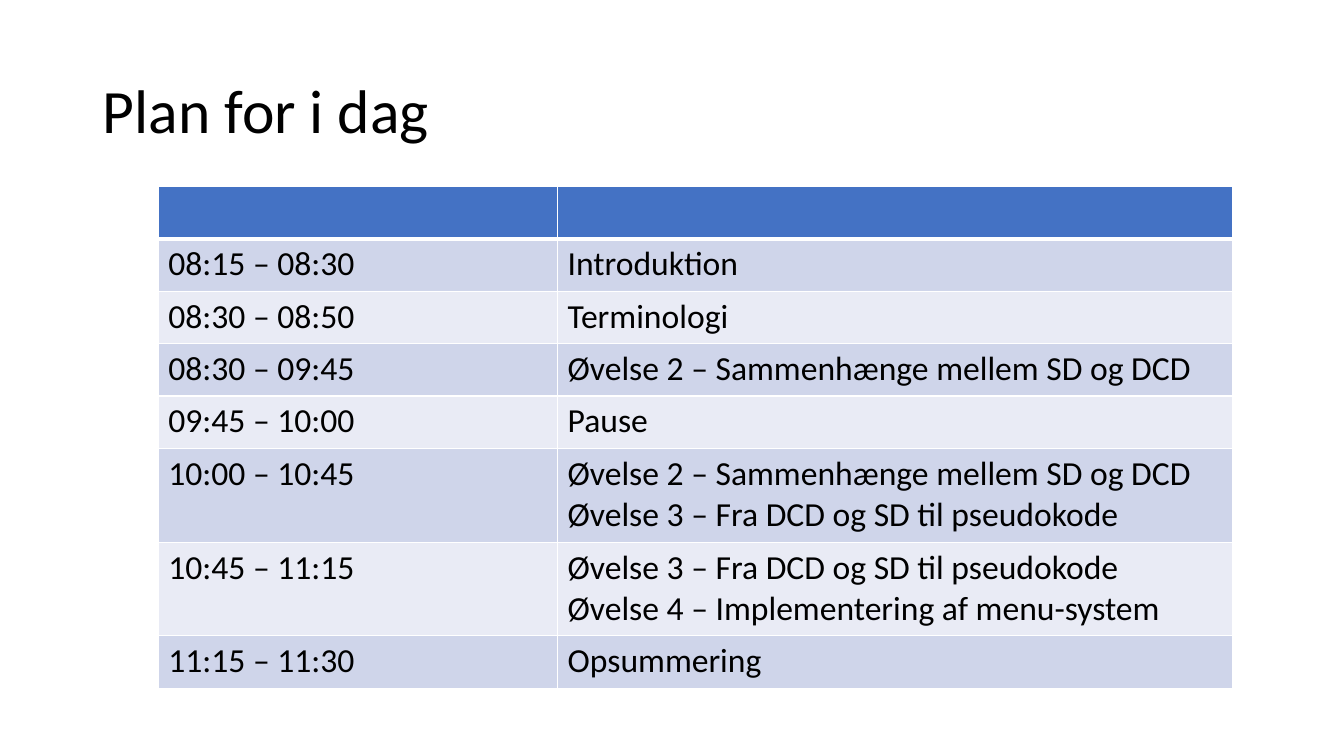
from dataclasses import dataclass

from lxml import etree
from pptx import Presentation
from pptx.dml.color import RGBColor
from pptx.enum.text import MSO_ANCHOR, PP_ALIGN
from pptx.oxml.ns import qn
from pptx.util import Inches, Pt

LEFT = PP_ALIGN.LEFT
MIDDLE = MSO_ANCHOR.MIDDLE
TITLE_ONLY = 5
FONT = "Calibri"
COLORS = {
    "text": "000000",
    "header": "4472C4",
    "odd": "CFD5EA",
    "even": "E9EBF5",
    "border": "FFFFFF",
}
SLIDE_WIDTH, SLIDE_HEIGHT = Inches(13.33), Inches(7.5)
COLUMN_WIDTHS = (3.96, 6.7)
ROW_HEIGHT, EXTRA_LINE = 0.52, 0.41
THIN, THICK = 1, 3
LINE_BREAK = "\v"

EXERCISE_2 = "Øvelse 2 – Sammenhænge mellem SD og DCD"
EXERCISE_3 = "Øvelse 3 – Fra DCD og SD til pseudokode"
EXERCISE_4 = "Øvelse 4 – Implementering af menu-system"


@dataclass(frozen=True)
class Session:
    """One row of the day's plan."""
    time: str
    activity: str

    @property
    def height(self) -> float:
        """Row height in inches, grown for each further line."""
        return ROW_HEIGHT + EXTRA_LINE * (len(self.activity.splitlines()) - 1)


SESSIONS = [
    Session("08:15 – 08:30", "Introduktion"),
    Session("08:30 – 08:50", "Terminologi"),
    Session("08:30 – 09:45", EXERCISE_2),
    Session("09:45 – 10:00", "Pause"),
    Session("10:00 – 10:45", EXERCISE_2 + LINE_BREAK + EXERCISE_3),
    Session("10:45 – 11:15", EXERCISE_3 + "\n" + EXERCISE_4),
    Session("11:15 – 11:30", "Opsummering"),
]


def format_text(text_frame, size: float) -> None:
    """Give every paragraph the slide's font, colour and alignment."""
    for paragraph in text_frame.paragraphs:
        paragraph.alignment = LEFT
        paragraph.font.name = FONT
        paragraph.font.size = Pt(size)
        paragraph.font.bold = False
        paragraph.font.color.rgb = RGBColor.from_string(COLORS["text"])


def set_borders(cell, top: float, bottom: float) -> None:
    """Draw the cell's four borders, with widths in points."""
    properties = cell._tc.get_or_add_tcPr()
    widths = {"a:lnL": THIN, "a:lnR": THIN, "a:lnT": top, "a:lnB": bottom}
    for position, (side, width) in enumerate(widths.items()):
        line = etree.Element(qn(side), w=str(Pt(width)))
        fill = etree.SubElement(line, qn("a:solidFill"))
        etree.SubElement(fill, qn("a:srgbClr"), val=COLORS["border"])
        properties.insert(position, line)


def style_cell(cell, color: str, top: float, bottom: float) -> None:
    """Fill a cell and draw its borders."""
    cell.fill.solid()
    cell.fill.fore_color.rgb = RGBColor.from_string(COLORS[color])
    set_borders(cell, top, bottom)


def add_title(slide, wording: str) -> None:
    """Place and format the slide title."""
    title = slide.shapes.title
    title.left, title.top = Inches(0.92), Inches(0.4)
    title.width, title.height = Inches(11.5), Inches(1.45)
    title.text_frame.text = wording
    title.text_frame.vertical_anchor = MIDDLE
    title.text_frame.paragraphs[0].line_spacing = 0.9
    format_text(title.text_frame, 44)


def add_plan(slide, sessions: list[Session]) -> None:
    """Draw the timetable under an empty header row."""
    heights = [ROW_HEIGHT] + [session.height for session in sessions]
    plan = slide.shapes.add_table(
        len(heights), len(COLUMN_WIDTHS), Inches(1.57), Inches(1.85),
        Inches(sum(COLUMN_WIDTHS)), Inches(sum(heights))).table
    for column, width in zip(plan.columns, COLUMN_WIDTHS):
        column.width = Inches(width)
    for row, height in zip(plan.rows, heights):
        row.height = Inches(height)

    for cell in plan.rows[0].cells:
        style_cell(cell, "header", THIN, THICK)
    for number, session in enumerate(sessions, start=1):
        color = "odd" if number % 2 else "even"
        top = THICK if number == 1 else THIN
        for cell, wording in zip(plan.rows[number].cells,
                                 (session.time, session.activity)):
            cell.text_frame.text = wording
            format_text(cell.text_frame, 24)
            style_cell(cell, color, top, THIN)


def main() -> None:
    """Build and save the presentation."""
    presentation = Presentation()
    presentation.slide_width = SLIDE_WIDTH
    presentation.slide_height = SLIDE_HEIGHT
    slide = presentation.slides.add_slide(
        presentation.slide_layouts[TITLE_ONLY])
    add_title(slide, "Plan for i dag")
    add_plan(slide, SESSIONS)
    presentation.save("out.pptx")


main()
